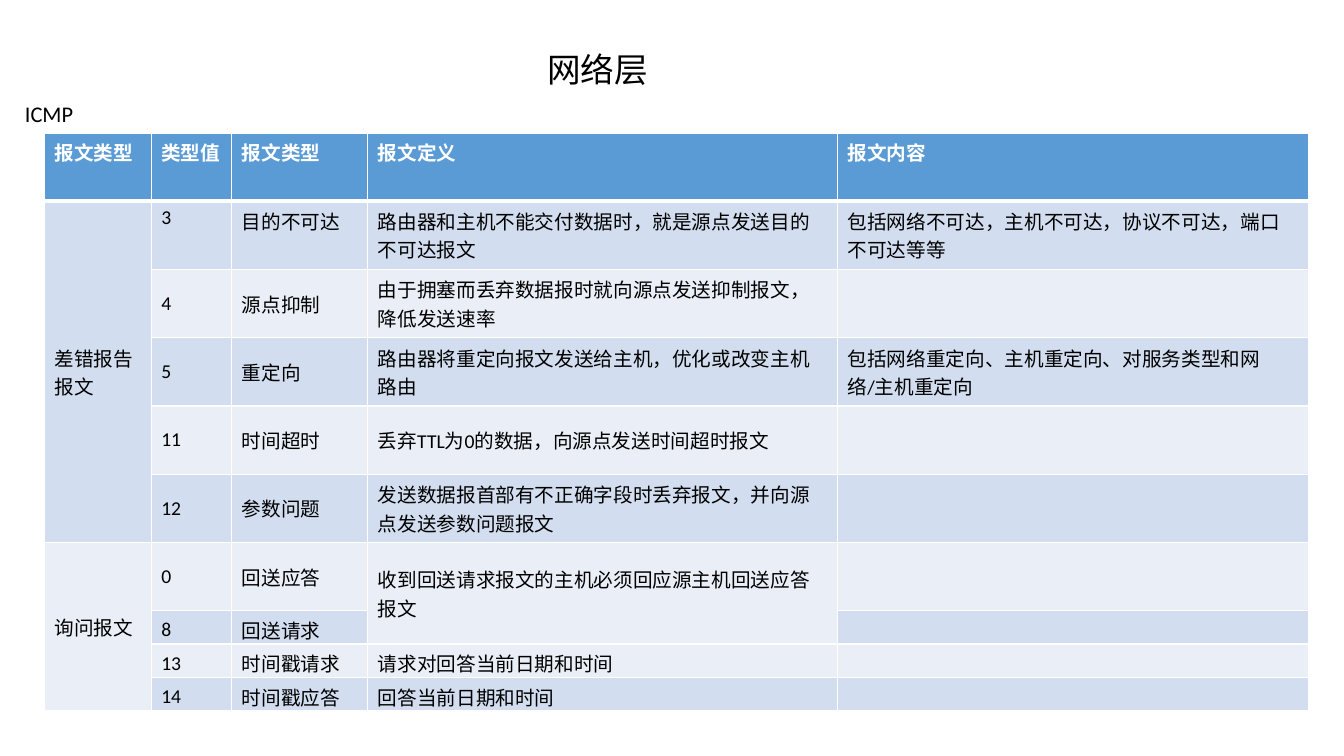
from lxml.etree import SubElement
from pptx import Presentation
from pptx.dml.color import RGBColor
from pptx.enum.text import MSO_ANCHOR, MSO_AUTO_SIZE
from pptx.oxml.ns import qn
from pptx.util import Cm, Pt

BLACK = RGBColor(0x00, 0x00, 0x00)
WHITE = RGBColor(0xFF, 0xFF, 0xFF)
HEADER_BLUE = RGBColor(0x5B, 0x9B, 0xD5)
BANDS = (RGBColor(0xEA, 0xEF, 0xF7), RGBColor(0xD2, 0xDE, 0xEF))

COLUMN_WIDTHS = (2.69, 2.03, 3.43, 11.84, 11.88)
TALL_ROW, SHORT_ROW = 1.72, 0.84
FIRST_SHORT_ROW = 7
MESSAGES = (
    ("报文类型", "类型值", "报文类型", "报文定义", "报文内容"),
    ("差错报告报文", "3", "目的不可达",
     "路由器和主机不能交付数据时，就是源点发送目的不可达报文",
     "包括网络不可达，主机不可达，协议不可达，端口不可达等等"),
    ("", "4", "源点抑制", "由于拥塞而丢弃数据报时就向源点发送抑制报文，降低发送速率", ""),
    ("", "5", "重定向", "路由器将重定向报文发送给主机，优化或改变主机路由",
     "包括网络重定向、主机重定向、对服务类型和网络/主机重定向"),
    ("", "11", "时间超时", "丢弃TTL为0的数据，向源点发送时间超时报文", ""),
    ("", "12", "参数问题", "发送数据报首部有不正确字段时丢弃报文，并向源点发送参数问题报文", ""),
    ("询问报文", "0", "回送应答", "收到回送请求报文的主机必须回应源主机回送应答报文", ""),
    ("", "8", "回送请求", "", ""),
    ("", "13", "时间戳请求", "请求对回答当前日期和时间", ""),
    ("", "14", "时间戳应答", "回答当前日期和时间", ""),
)
# (column, first row, last row)
MERGES = ((0, 1, 5), (0, 6, 9), (3, 6, 7))


class SlideBuilder:
    font_name = "Calibri"
    table_size = 14

    def __init__(self, slide):
        self.slide = slide

    def add_text(self, paragraph, text, size, color=BLACK, bold=False):
        run = paragraph.add_run()
        run.text = text
        formats = {"name": self.font_name, "size": Pt(size), "bold": bold}
        for name, value in formats.items():
            setattr(run.font, name, value)
        run.font.color.rgb = color

    def text_box(self, text, left, top, width, height, size):
        shape = self.slide.shapes.add_textbox(Cm(left), Cm(top), Cm(width), Cm(height))
        formats = {"word_wrap": True, "auto_size": MSO_AUTO_SIZE.SHAPE_TO_FIT_TEXT}
        for name, value in formats.items():
            setattr(shape.text_frame, name, value)
        self.add_text(shape.text_frame.paragraphs[0], text, size)

    def borders(self, cell, bottom_width):
        properties = cell._tc.get_or_add_tcPr()
        widths = {"lnL": 1, "lnR": 1, "lnT": 1, "lnB": bottom_width}
        for tag, width in widths.items():
            line = SubElement(properties, qn(f"a:{tag}"), w=str(Pt(width)))
            fill = SubElement(line, qn("a:solidFill"))
            SubElement(fill, qn("a:srgbClr"), val=str(WHITE))

    def cell(self, cell, text, row, column):
        header = row == 0
        self.borders(cell, 3 if header else 1)
        cell.fill.solid()
        cell.fill.fore_color.rgb = HEADER_BLUE if header else BANDS[row % 2]
        at_top = header or (row == 1 and column > 0)
        cell.vertical_anchor = MSO_ANCHOR.TOP if at_top else MSO_ANCHOR.MIDDLE
        if row >= FIRST_SHORT_ROW:
            cell.margin_bottom = 0
        paragraph = cell.text_frame.paragraphs[0]
        if text:
            self.add_text(paragraph, text, self.table_size, WHITE if header else BLACK, header)
        else:
            SubElement(paragraph._p, qn("a:endParaRPr"), sz=str(self.table_size * 100))

    def table(self, rows, left, top):
        heights = [TALL_ROW if row < FIRST_SHORT_ROW else SHORT_ROW for row in range(len(rows))]
        table = self.slide.shapes.add_table(
            len(rows), len(COLUMN_WIDTHS), Cm(left), Cm(top),
            Cm(sum(COLUMN_WIDTHS)), Cm(sum(heights))).table
        for column, width in zip(table.columns, COLUMN_WIDTHS):
            column.width = Cm(width)
        for row, (height, texts) in enumerate(zip(heights, rows)):
            table.rows[row].height = Cm(height)
            for column, text in enumerate(texts):
                self.cell(table.cell(row, column), text, row, column)
        for column, first, last in MERGES:
            table.cell(first, column).merge(table.cell(last, column))


def main():
    presentation = Presentation()
    presentation.slide_width = Cm(33.87)
    presentation.slide_height = Cm(19.05)
    builder = SlideBuilder(presentation.slides.add_slide(presentation.slide_layouts[6]))
    builder.text_box("ICMP", 0.38, 2.41, 32.16, 0.94, 16)
    builder.text_box("网络层", 13.54, 1.12, 7.67, 1.27, 24)
    builder.table(MESSAGES, 1.12, 3.35)
    presentation.save("out.pptx")


if __name__ == "__main__":
    main()
